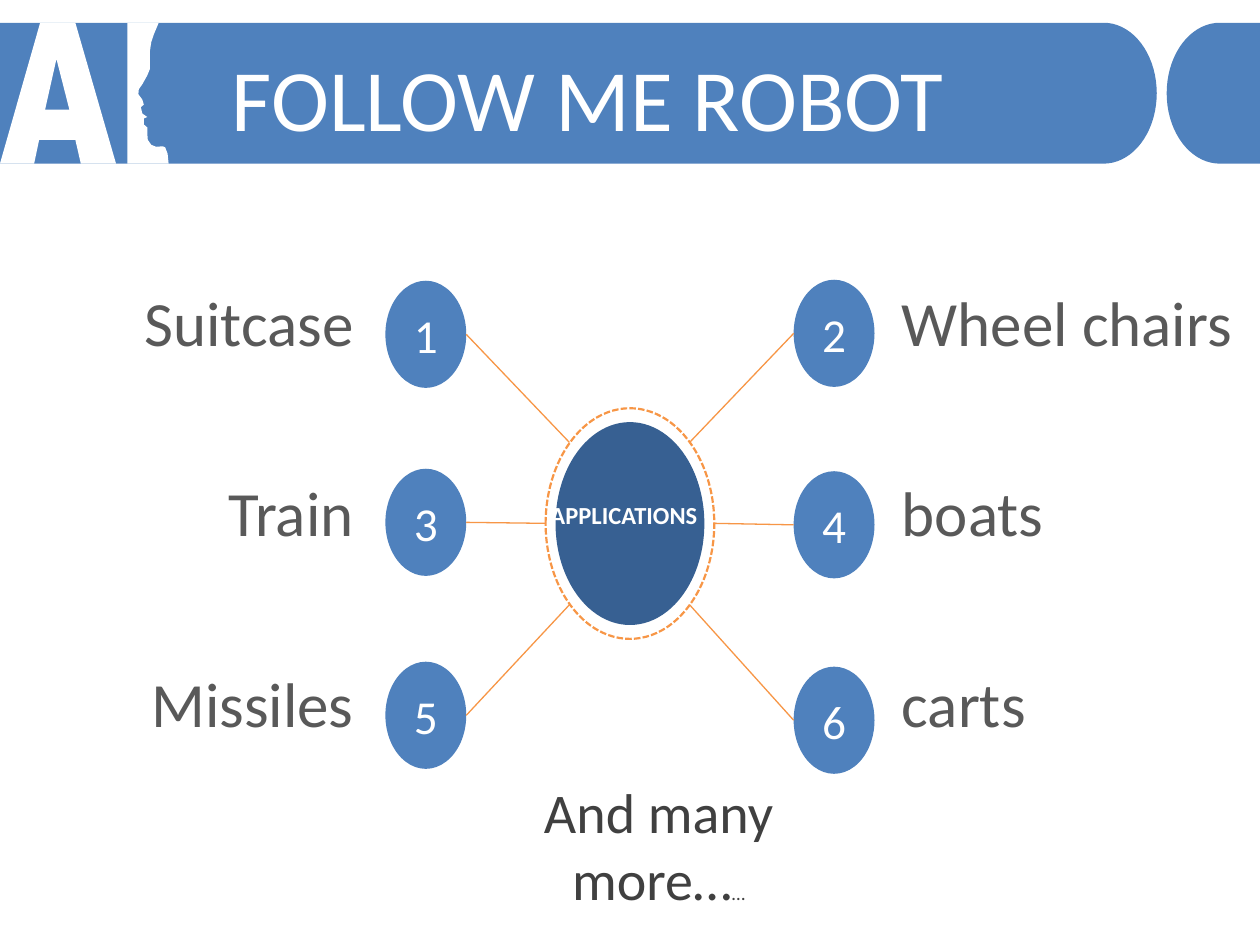
import math

import lxml.etree
import pptx
import pptx.dml.color
import pptx.enum.dml
import pptx.enum.shapes
import pptx.enum.text
import pptx.oxml.ns
import pptx.util

Cm, Pt = pptx.util.Cm, pptx.util.Pt
RGBColor = pptx.dml.color.RGBColor
ALIGN = pptx.enum.text.PP_ALIGN
MIDDLE = pptx.enum.text.MSO_ANCHOR.MIDDLE
OVAL = pptx.enum.shapes.MSO_SHAPE.OVAL

BLUE = RGBColor(0x4F, 0x81, 0xBD)
DARK_BLUE = RGBColor(0x37, 0x60, 0x92)
ORANGE = RGBColor(0xF7, 0x96, 0x46)
WHITE = RGBColor(0xFF, 0xFF, 0xFF)
GREY = RGBColor(0x59, 0x59, 0x59)
DARK_GREY = RGBColor(0x40, 0x40, 0x40)

prs = pptx.Presentation()
prs.slide_width, prs.slide_height = Cm(25.4), Cm(19.05)
slide = prs.slides.add_slide(prs.slide_layouts[6])
shapes = slide.shapes


def add_outline(contours, color):
    """Draw closed contours, given in cm, as one filled shape."""
    builder = None
    for contour in contours:
        points = [(Cm(x), Cm(y)) for x, y in contour]
        if builder is None:
            builder = shapes.build_freeform(*points[0])
        else:
            builder.move_to(*points[0])
        builder.add_line_segments(points[1:], close=True)
    outline = builder.convert_to_shape()
    outline.shadow.inherit = False
    outline.fill.solid()
    outline.fill.fore_color.rgb = color
    outline.line.fill.background()


def write(shape, text, size, color, align=ALIGN.LEFT, bold=False):
    frame = shape.text_frame
    frame.word_wrap = True
    paragraph = frame.paragraphs[0]
    paragraph.text = text
    paragraph.alignment = align
    for run in paragraph.runs:
        run.font.name = "Calibri"
        run.font.size = Pt(size)
        run.font.bold = bold
        run.font.color.rgb = color
    return frame


# Banner in two parts with facing round ends
TOP, BOTTOM = 0.46, 3.3
END_WIDTH, END_HEIGHT = 1.07, (BOTTOM - TOP) / 2
angles = [math.radians(a) for a in range(-90, 91, 5)]
for edge, end_center, direction in ((0, 22.25, 1), (25.4, 24.59, -1)):
    round_end = [(end_center + direction * END_WIDTH * math.cos(a),
                  TOP + END_HEIGHT * (1 + math.sin(a))) for a in angles]
    add_outline([[(edge, TOP), *round_end, (edge, BOTTOM)]], BLUE)

# Letters A and I, the I cut by a face in profile
letter_a = [(0.81, TOP), (1.52, TOP), (2.34, BOTTOM), (1.63, BOTTOM),
            (1.52, 2.82), (0.79, 2.82), (0.69, BOTTOM), (0, BOTTOM)]
letter_a_hole = [(1.14, 1.19), (0.91, 2.21), (1.4, 2.21)]
letter_i_face = [
    (2.57, TOP), (3.2, TOP), (3.1, 0.7), (3.05, 0.85), (3.02, 1.05),
    (3.02, 1.4), (2.97, 1.52), (2.87, 1.7), (2.8, 1.8), (2.79, 1.9),
    (2.87, 2.01), (2.9, 2.11), (2.84, 2.16), (2.87, 2.29), (2.97, 2.36),
    (2.9, 2.39), (2.9, 2.51), (2.97, 2.57), (2.97, 2.69), (2.98, 2.82),
    (3.05, 2.92), (3.15, 2.96), (3.28, 2.95), (3.33, 2.97), (3.38, 3.1),
    (3.4, BOTTOM), (2.57, BOTTOM)]
add_outline([letter_a, letter_a_hole, letter_i_face], WHITE)

title = shapes.add_textbox(Cm(4.42), Cm(0.94), Cm(20.37), Cm(2.01))
write(title, "FOLLOW ME ROBOT", 50, WHITE).vertical_anchor = MIDDLE

# Hub: a filled oval inside a dashed ring
hub = shapes.add_shape(OVAL, Cm(11.2), Cm(8.51), Cm(3), Cm(4.09))
hub.shadow.inherit = False
hub.fill.solid()
hub.fill.fore_color.rgb = DARK_BLUE
hub.line.fill.background()

ring = shapes.add_shape(OVAL, Cm(11), Cm(8.23), Cm(3.4), Cm(4.65))
ring.shadow.inherit = False
ring.fill.background()
ring.line.color.rgb = ORANGE
ring.line.width = Pt(1.25)
ring.line.dash_style = pptx.enum.dml.MSO_LINE.SQUARE_DOT

# Applications around the hub: number, name, top of the number oval
OVAL_WIDTH, OVAL_HEIGHT = 1.63, 2.16
LABEL_TOP, LABEL_STEP, LABEL_HEIGHT = 5.59, 3.84, 1.8
left_side = [("1", "Suitcase", 5.66), ("3", "Train", 9.45), ("5", "Missiles", 13.34)]
right_side = [("2", "Wheel chairs", 5.64), ("4", "boats", 9.5), ("6", "carts", 13.44)]
# ring points met by the spokes: (x on the left, x on the right, y)
ring_points = [(11.48, 13.9, 8.92), (11, 14.4, 10.55), (11.48, 13.9, 12.19)]

sides = [(left_side, 7.77, 7.77 + OVAL_WIDTH, 1.8, 5.58, ALIGN.RIGHT),
         (right_side, 16, 16, 17.93, 7.47, ALIGN.LEFT)]
for side, (items, oval_left, spoke_x, label_left, label_width, align) in enumerate(sides):
    for row, (number, name, oval_top) in enumerate(items):
        label = shapes.add_textbox(Cm(label_left), Cm(LABEL_TOP + row * LABEL_STEP),
                                   Cm(label_width), Cm(LABEL_HEIGHT))
        write(label, name, 36, GREY, align)

        badge = shapes.add_shape(OVAL, Cm(oval_left), Cm(oval_top),
                                 Cm(OVAL_WIDTH), Cm(OVAL_HEIGHT))
        badge.shadow.inherit = False
        badge.fill.solid()
        badge.fill.fore_color.rgb = BLUE
        badge.line.fill.background()
        frame = write(badge, number, 27, WHITE, ALIGN.CENTER)
        frame.margin_left = frame.margin_right = 0
        frame.vertical_anchor = MIDDLE

        spoke = shapes.add_connector(
            pptx.enum.shapes.MSO_CONNECTOR.STRAIGHT,
            Cm(spoke_x), Cm(oval_top + OVAL_HEIGHT / 2),
            Cm(ring_points[row][side]), Cm(ring_points[row][2]))
        spoke.line.color.rgb = ORANGE
        spoke.line.width = Pt(0.75)
        lxml.etree.SubElement(spoke._element.spPr, pptx.oxml.ns.qn("a:effectLst"))

hub_label = shapes.add_textbox(Cm(10.8), Cm(9.96), Cm(3.56), Cm(0.86))
write(hub_label, "APPLICATIONS", 14, WHITE, ALIGN.CENTER, bold=True)

closing = shapes.add_textbox(Cm(9.32), Cm(15.67), Cm(7.92), Cm(2.74))
frame = write(closing, "And many more…", 32, DARK_GREY, ALIGN.CENTER)
frame.margin_left = frame.margin_right = frame.margin_top = frame.margin_bottom = 0
small_dots = frame.paragraphs[0].add_run()
small_dots.text = "…"
small_dots.font.name = "Calibri"
small_dots.font.size = Pt(11)
small_dots.font.color.rgb = DARK_GREY

prs.save("out.pptx")
